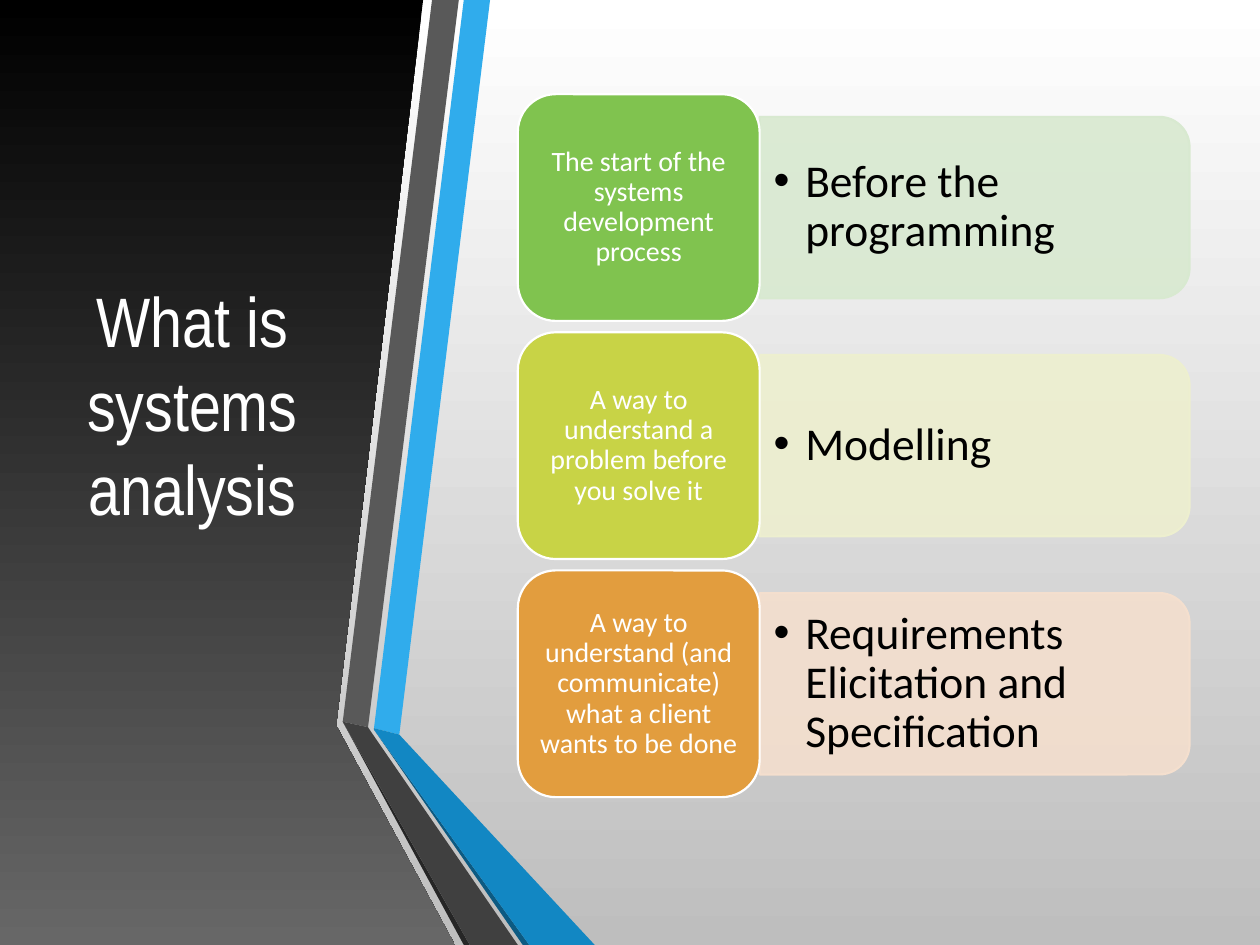
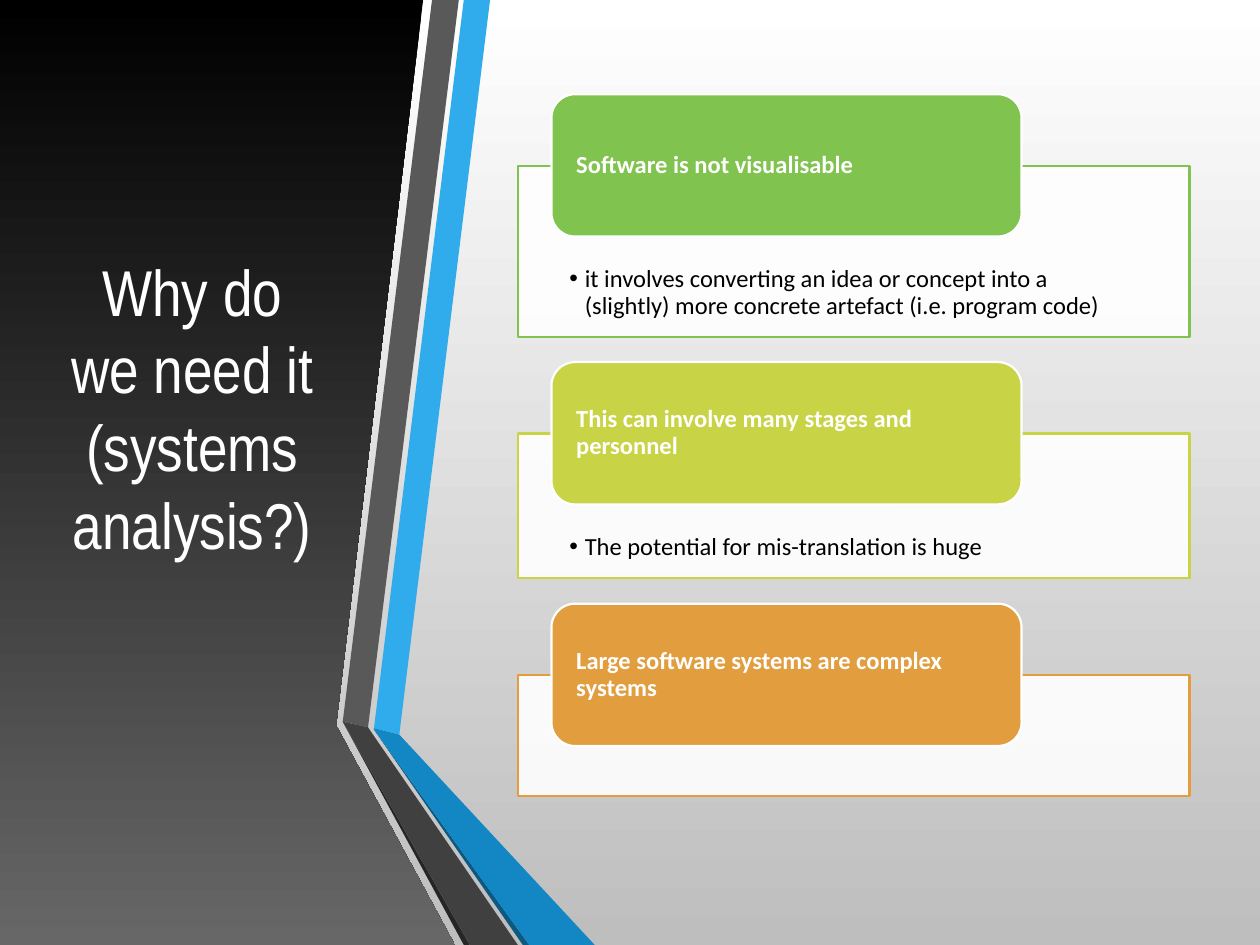
from collections import namedtuple

from lxml.etree import SubElement
from pptx import Presentation
from pptx.dml.color import RGBColor
from pptx.enum.shapes import MSO_SHAPE as Preset
from pptx.enum.text import MSO_ANCHOR as Anchor, MSO_AUTO_SIZE as AutoSize, PP_ALIGN as Align
from pptx.oxml.ns import qn
from pptx.util import Cm, Pt

WHITE = RGBColor(0xFF, 0xFF, 0xFF)
BLACK = RGBColor(0x00, 0x00, 0x00)
SILVER = RGBColor(0xBE, 0xBE, 0xBE)
ASH = RGBColor(0x67, 0x67, 0x67)
GREEN = RGBColor(0x80, 0xC3, 0x4F)
LIME = RGBColor(0xC8, 0xD3, 0x46)
ORANGE = RGBColor(0xE2, 0x9D, 0x3E)
PALE_GREEN = RGBColor(0xD8, 0xE9, 0xD0)
PALE_LIME = RGBColor(0xED, 0xEF, 0xCF)
PALE_ORANGE = RGBColor(0xF4, 0xDF, 0xCE)
SKY = RGBColor(0x30, 0xAC, 0xEC)
BLUE = RGBColor(0x12, 0x87, 0xC3)
NAVY = RGBColor(0x0C, 0x5A, 0x82)
GREY = RGBColor(0x59, 0x59, 0x59)
DARK_GREY = RGBColor(0x40, 0x40, 0x40)
CHARCOAL = RGBColor(0x26, 0x26, 0x26)

TITLE_FONT, BODY_FONT = "Arial Narrow", "Calibri"

# All boxes are in centimetres
Box = namedtuple("Box", "left top width height")
TITLE_BOX = Box(1.12, 1.9, 5.51, 14.17)
CONTENT_BOX = Box(10.44, 1.9, 13.54, 14.17)
SLIDE_WIDTH, SLIDE_HEIGHT = 25.4, 19.05

PANEL_OUTLINE = [(0, 0), (8.53, 0), (6.78, 14.6), (6.78, 14.63),
                 (9.17, SLIDE_HEIGHT), (0, SLIDE_HEIGHT)]
BANDS = [
    (SKY, [(7.54, 14.68), (8.05, 14.81), (9.88, 0), (9.35, 0)]),
    (GREY, [(9.25, 0), (8.71, 0), (6.91, 14.55), (7.42, 14.66)]),
    (CHARCOAL, [(6.91, 14.55), (9.35, SLIDE_HEIGHT), (9.47, SLIDE_HEIGHT)]),
    (NAVY, [(7.54, 14.71), (10.54, SLIDE_HEIGHT), (10.67, SLIDE_HEIGHT)]),
    (BLUE, [(7.54, 14.71), (10.67, SLIDE_HEIGHT), (11.99, SLIDE_HEIGHT),
            (8.05, 14.81), (7.54, 14.68)]),
    (DARK_GREY, [(10.44, SLIDE_HEIGHT), (7.52, 14.81), (7.42, 14.66),
                 (6.91, 14.55), (9.47, SLIDE_HEIGHT)]),
]

TILE_ROWS = [
    ("The start of the systems development process",
     "Before the programming", GREEN, PALE_GREEN),
    ("A way to understand a problem before you solve it",
     "Modelling", LIME, PALE_LIME),
    ("A way to understand (and communicate) what a client wants to be done",
     "Requirements Elicitation and Specification", ORANGE, PALE_ORANGE),
]
# Heading, detail, colour, frame height
REASONS = [
    ("Software is not visualisable",
     "it involves converting an idea or concept into a (slightly) more "
     "concrete artefact (i.e. program code)", GREEN, 3.45),
    ("This can involve many stages and personnel",
     "The potential for mis-translation is huge", LIME, 2.92),
    ("Large software systems are complex systems", None, ORANGE, 2.44),
]


def to_cm(box):
    return [Cm(length) for length in box]


def fill_gradient(fill, top_color, bottom_color):
    fill.gradient()
    fill.gradient_angle = 270
    for stop, color in zip(fill.gradient_stops, (top_color, bottom_color)):
        stop.color.rgb = color


def add_outline(slide, points):
    corners = [(Cm(x), Cm(y)) for x, y in points]
    builder = slide.shapes.build_freeform(*corners[0])
    builder.add_line_segments(corners[1:])
    shape = builder.convert_to_shape()
    shape.shadow.inherit = False
    shape.line.fill.background()
    return shape


def add_box(slide, preset, box, fill_color, line_color, opacity=100):
    shape = slide.shapes.add_shape(preset, *to_cm(box))
    shape.shadow.inherit = False
    shape.fill.solid()
    shape.fill.fore_color.rgb = fill_color
    if opacity < 100:
        color = shape.element.spPr.find(qn("a:solidFill"))[0]
        SubElement(color, qn("a:alpha"), val=str(opacity * 1000))
    shape.line.color.rgb = line_color
    shape.line.width = Pt(1.25)
    return shape


def write(shape, text, size, color, margins, align=Align.LEFT,
          anchor=Anchor.MIDDLE, bullet_indent=0, bold=False):
    """Fill a shape with one paragraph; margins are (sides, top, bottom)."""
    frame = shape.text_frame
    frame.word_wrap = True
    frame.vertical_anchor = anchor
    sides, top, bottom = margins
    frame.margin_left = frame.margin_right = Cm(sides)
    frame.margin_top, frame.margin_bottom = Cm(top), Cm(bottom)
    paragraph = frame.paragraphs[0]
    paragraph.text = text
    paragraph.alignment = align
    paragraph.line_spacing = 0.9
    if bullet_indent:
        properties = paragraph._p.get_or_add_pPr()
        properties.set("marL", str(Cm(bullet_indent)))
        properties.set("indent", str(-Cm(bullet_indent)))
        SubElement(properties, qn("a:buFont"), typeface="Arial")
        SubElement(properties, qn("a:buChar"), char="•")
    font = paragraph.font
    font.name, font.size, font.bold = BODY_FONT, Pt(size), bold
    font.color.rgb = color


def add_title(slide, text, size, box):
    title = slide.shapes.title
    title.left, title.top, title.width, title.height = to_cm(box)
    title.element.getparent().append(title.element)  # in front of the panel
    frame = title.text_frame
    frame.word_wrap = True
    frame.auto_size = AutoSize.NONE
    frame.vertical_anchor = Anchor.MIDDLE
    frame.margin_left = frame.margin_right = Cm(0.25)
    frame.margin_top = Cm(0.13)
    frame.margin_bottom = Cm(0.13) + Pt(1.2 * size)  # one line of room below
    paragraph = frame.paragraphs[0]
    paragraph.text = text
    paragraph.alignment = Align.CENTER
    font = paragraph.font
    font.name, font.size = TITLE_FONT, Pt(size)
    font.color.rgb = WHITE


def add_titled_slide(presentation, title, title_size):
    slide = presentation.slides.add_slide(presentation.slide_layouts[5])
    fill_gradient(slide.background.fill, WHITE, SILVER)
    fill_gradient(add_outline(slide, PANEL_OUTLINE).fill, BLACK, ASH)
    add_title(slide, title, title_size, TITLE_BOX)
    for color, points in BANDS:
        band = add_outline(slide, points)
        band.fill.solid()
        band.fill.fore_color.rgb = color
    return slide


def add_tile_rows(slide, box, rows):
    """Tiles on the left, each with a pale bar that holds its bullet."""
    gap = 0.23
    tile_width = 0.36 * box.width
    tile_height = (box.height - gap * (len(rows) - 1)) / len(rows)
    bar_left = box.left + tile_width
    bar_width, bar_height = box.width - tile_width, 0.8 * tile_height
    for index, (label, detail, color, pale_color) in enumerate(rows):
        top = box.top + index * (tile_height + gap)
        middle = top + tile_height / 2

        # Bar: upright shape turned by 90° so its round corners face right
        upright = Box(bar_left + (bar_width - bar_height) / 2,
                      middle - bar_width / 2, bar_height, bar_width)
        bar = add_box(slide, Preset.ROUND_2_SAME_RECTANGLE, upright,
                      pale_color, pale_color, opacity=90)
        bar.rotation = 90
        text_box = Box(bar_left, middle - 1.65, bar_width - 0.18, 3.3)
        write(slide.shapes.add_textbox(*to_cm(text_box)), detail, 26, BLACK,
              (0.28, 0.13, 0.13), bullet_indent=0.64)

        tile = add_box(slide, Preset.ROUNDED_RECTANGLE,
                       Box(box.left, top, tile_width, tile_height), color, WHITE)
        write(tile, label, 16, WHITE, (0.18, 0.08, 0.08), align=Align.CENTER)


def add_reasons(slide, box, reasons):
    """Framed details, each with a heading that overlaps the frame's top."""
    overhang, heading_height, gap = 1.44, 2.87, 0.51
    top = box.top
    for heading, detail, color, frame_height in reasons:
        frame = add_box(slide, Preset.RECTANGLE,
                        Box(box.left, top + overhang, box.width, frame_height),
                        WHITE, color, opacity=90)
        if detail:
            write(frame, detail, 14, BLACK, (1.04, 2.03, 0.28),
                  anchor=Anchor.TOP, bullet_indent=0.31)
        label = add_box(slide, Preset.ROUNDED_RECTANGLE,
                        Box(box.left + 0.05 * box.width, top,
                            0.7 * box.width, heading_height), color, WHITE)
        write(label, heading, 14, WHITE, (0.36, 0, 0), bold=True)
        top += overhang + frame_height + gap


def main():
    presentation = Presentation()
    presentation.slide_width = Cm(SLIDE_WIDTH)
    presentation.slide_height = Cm(SLIDE_HEIGHT)

    slide = add_titled_slide(presentation, "What is systems analysis", 40)
    add_tile_rows(slide, CONTENT_BOX, TILE_ROWS)

    slide = add_titled_slide(presentation, "Why do we need it (systems analysis?)", 37)
    add_reasons(slide, CONTENT_BOX, REASONS)

    presentation.save("out.pptx")


if __name__ == "__main__":
    main()
